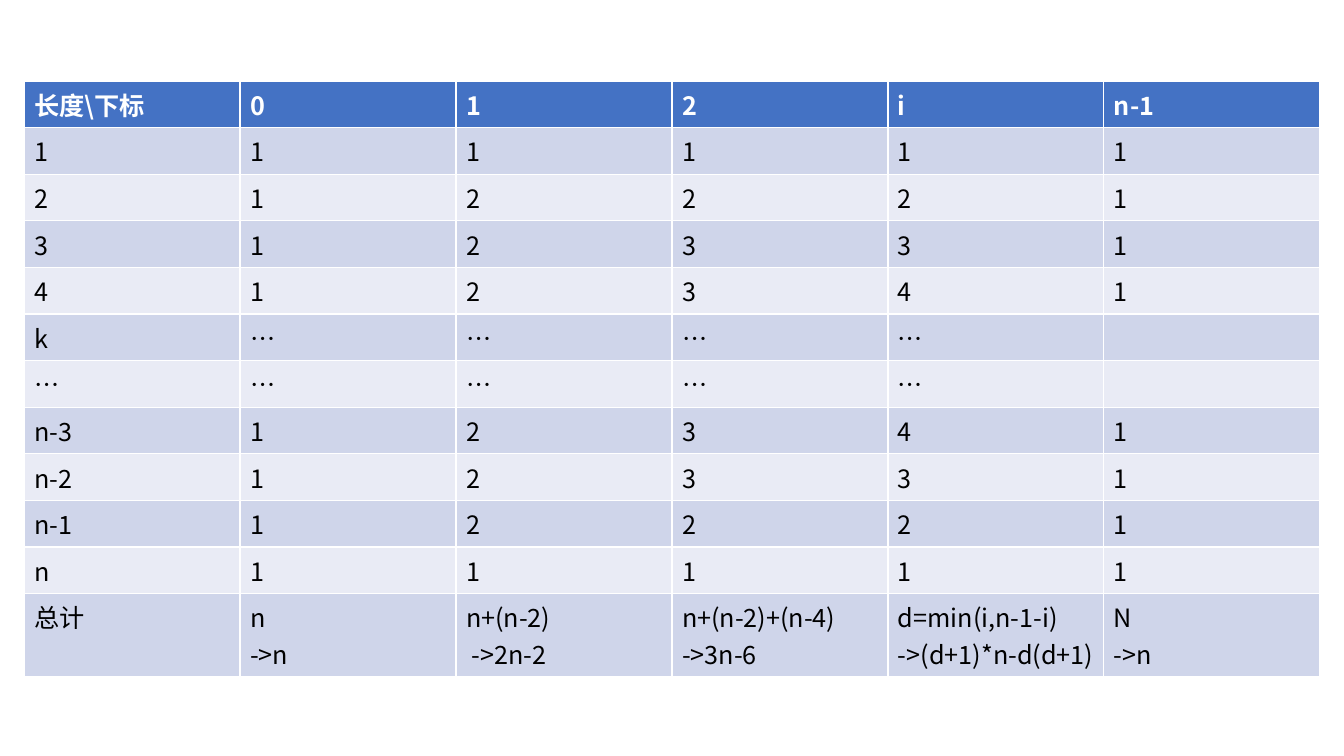
from pptx import Presentation
from pptx import util as u
from pptx.dml.color import RGBColor
from pptx.oxml.ns import qn
from lxml import etree

PX = 9071
FONT = "Noto Sans CJK SC"
HEADER_FILL = RGBColor(0x44, 0x72, 0xC4)
BAND_FILLS = (RGBColor(0xE9, 0xEB, 0xF5), RGBColor(0xCF, 0xD5, 0xEA))
WHITE = RGBColor(0xFF, 0xFF, 0xFF)
BLACK = RGBColor(0, 0, 0)

COUNTS = (
    ("长度\\下标", "0", "1", "2", "i", "n-1"),
    ("1", "1", "1", "1", "1", "1"),
    ("2", "1", "2", "2", "2", "1"),
    ("3", "1", "2", "3", "3", "1"),
    ("4", "1", "2", "3", "4", "1"),
    ("k", "…", "…", "…", "…", ""),
    ("…", "…", "…", "…", "…", ""),
    ("n-3", "1", "2", "3", "4", "1"),
    ("n-2", "1", "2", "3", "3", "1"),
    ("n-1", "1", "2", "2", "2", "1"),
    ("n", "1", "1", "1", "1", "1"),
    ("总计", "n\n->n", "n+(n-2)\n ->2n-2", "n+(n-2)+(n-4)\n->3n-6",
     "d=min(i,n-1-i)\n->(d+1)*n-d(d+1)", "N\n->n"),
)


def fill_cell(cell, value, is_header, fill):
    """Write one cell's text with its font and background."""
    cell.fill.solid()
    cell.fill.fore_color.rgb = fill
    cell.text_frame.text = value
    for p in cell.text_frame.paragraphs:
        p.font.size = u.Pt(18)
        p.font.name = FONT
        p.font.bold = is_header
        p.font.color.rgb = WHITE if is_header else BLACK
        for r in p.runs:
            r.font.name = FONT
            east_asian = etree.SubElement(r.font._element, qn("a:ea"))
            east_asian.set("typeface", FONT)


def add_count_table(s, left, top, width, row_height):
    """Add the table of subarray counts by length and index."""
    n_rows, n_cols = len(COUNTS), len(COUNTS[0])
    table = s.shapes.add_table(n_rows, n_cols, left * PX, top * PX,
                               width * PX, n_rows * row_height * PX).table
    for row, values in enumerate(COUNTS):
        fill = BAND_FILLS[row % 2] if row else HEADER_FILL
        for col, value in enumerate(values):
            fill_cell(table.cell(row, col), value, row == 0, fill)


def main():
    """Build and save the one-slide deck."""
    prs = Presentation()
    prs.slide_width, prs.slide_height = 1344 * PX, 756 * PX
    s = prs.slides.add_slide(prs.slide_layouts[6])
    add_count_table(s, left=24, top=81, width=1296, row_height=37)
    prs.save("out.pptx")


main()
